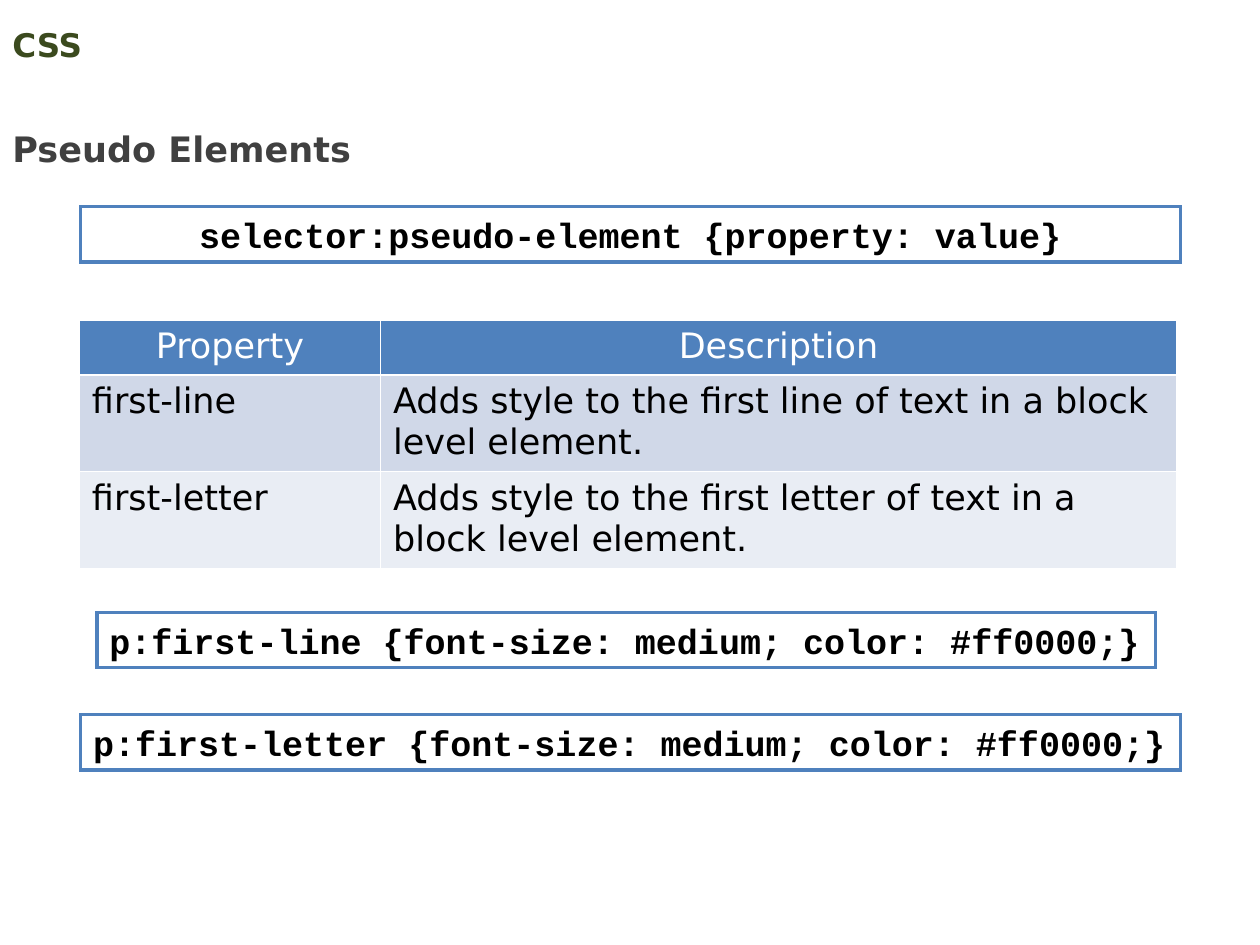
from lxml import etree
from pptx import Presentation
from pptx.dml.color import RGBColor
from pptx.enum.shapes import MSO_SHAPE
from pptx.enum.text import MSO_ANCHOR, MSO_AUTO_SIZE, PP_ALIGN
from pptx.oxml.ns import qn
from pptx.util import Inches, Pt

LEFT, CENTER = PP_ALIGN.LEFT, PP_ALIGN.CENTER
TOP, MIDDLE = MSO_ANCHOR.TOP, MSO_ANCHOR.MIDDLE
RECTANGLE = MSO_SHAPE.RECTANGLE
FIT_SHAPE = MSO_AUTO_SIZE.SHAPE_TO_FIT_TEXT

WHITE = RGBColor(0xFF, 0xFF, 0xFF)
BLACK = RGBColor(0x00, 0x00, 0x00)
GREEN = RGBColor(0x3B, 0x4A, 0x1E)
GRAY = RGBColor(0x40, 0x40, 0x40)
BLUE = RGBColor(0x4F, 0x81, 0xBD)
DARK_BAND = RGBColor(0xD0, 0xD8, 0xE8)
LIGHT_BAND = RGBColor(0xE9, 0xED, 0xF4)

SANS, MONO = "DejaVu Sans", "Courier New"


def write_text(frame, text, font=SANS, size=20, color=BLACK, bold=False,
               align=LEFT, anchor=TOP, spacing=None):
    frame.word_wrap = True
    frame.vertical_anchor = anchor
    para = frame.paragraphs[0]
    para.alignment = align
    para.line_spacing = spacing
    span = para.add_run()
    span.text = text
    span.font.name = font
    span.font.size = Pt(size)
    span.font.bold = bold
    span.font.color.rgb = color


def add_border(cell, side, width):
    """Draw a white line on one side (L, R, T or B); call before setting the fill."""
    line = etree.SubElement(cell._tc.get_or_add_tcPr(), qn(f"a:ln{side}"),
                            w=str(Pt(width)))
    fill = etree.SubElement(line, qn("a:solidFill"))
    etree.SubElement(fill, qn("a:srgbClr"), val=str(WHITE))


deck = Presentation()
deck.slide_width, deck.slide_height = Inches(10), Inches(7.5)
page = deck.slides.add_slide(deck.slide_layouts[6])

# Headings
title = page.shapes.add_textbox(Inches(0), Inches(0.14), Inches(9), Inches(0.43))
write_text(title.text_frame, "CSS", size=18.6, color=GREEN, bold=True, anchor=MIDDLE)

subtitle = page.shapes.add_textbox(Inches(0), Inches(0.8), Inches(3.85), Inches(0.6))
write_text(subtitle.text_frame, "Pseudo Elements", color=GRAY, bold=True, spacing=1.5)
subtitle.text_frame.auto_size = FIT_SHAPE

# Table of pseudo elements
ROWS = [
    ("Property", "Description"),
    ("first-line", "Adds style to the first line of text in a block level element."),
    ("first-letter", "Adds style to the first letter of text in a block level element."),
]
ROW_HEIGHTS = [0.43, 0.77, 0.77]
ROW_FILLS = [BLUE, DARK_BAND, LIGHT_BAND]
COLUMN_WIDTHS = [2.39, 6.32]
THIN, THICK = 0.45, 1.47

table = page.shapes.add_table(
    len(ROWS), len(COLUMN_WIDTHS), Inches(0.63), Inches(2.54),
    Inches(sum(COLUMN_WIDTHS)), Inches(sum(ROW_HEIGHTS))).table
for column, width in zip(table.columns, COLUMN_WIDTHS):
    column.width = Inches(width)
for row_index, texts in enumerate(ROWS):
    table.rows[row_index].height = Inches(ROW_HEIGHTS[row_index])
    is_header = row_index == 0
    for column_index, text in enumerate(texts):
        cell = table.cell(row_index, column_index)
        add_border(cell, "L", THIN)
        add_border(cell, "R", THIN)
        add_border(cell, "T", THICK if row_index == 1 else THIN)
        add_border(cell, "B", THICK if is_header else THIN)
        cell.fill.solid()
        cell.fill.fore_color.rgb = ROW_FILLS[row_index]
        write_text(cell.text_frame, text, color=WHITE if is_header else BLACK,
                   align=CENTER if is_header else LEFT)

# Code boxes: left, top, width, alignment, code
CODE_BOXES = [
    (0.64, 1.64, 8.73, CENTER, "selector:pseudo-element {property: value}"),
    (0.77, 4.86, 8.4, LEFT, "p:first-line {font-size: medium; color: #ff0000;}"),
    (0.64, 5.67, 8.73, LEFT, "p:first-letter {font-size: medium; color: #ff0000;}"),
]
for left, top, width, align, code in CODE_BOXES:
    box = page.shapes.add_shape(RECTANGLE, Inches(left), Inches(top),
                                Inches(width), Inches(0.44))
    box.shadow.inherit = False
    box.fill.solid()
    box.fill.fore_color.rgb = WHITE
    box.line.color.rgb = BLUE
    box.line.width = Pt(2)
    outline = box._element.spPr.find(qn("a:ln"))
    etree.SubElement(outline, qn("a:miter"), lim="800000")
    write_text(box.text_frame, code, font=MONO, bold=True, align=align, anchor=MIDDLE)
    box.text_frame.auto_size = FIT_SHAPE

deck.save("out.pptx")
